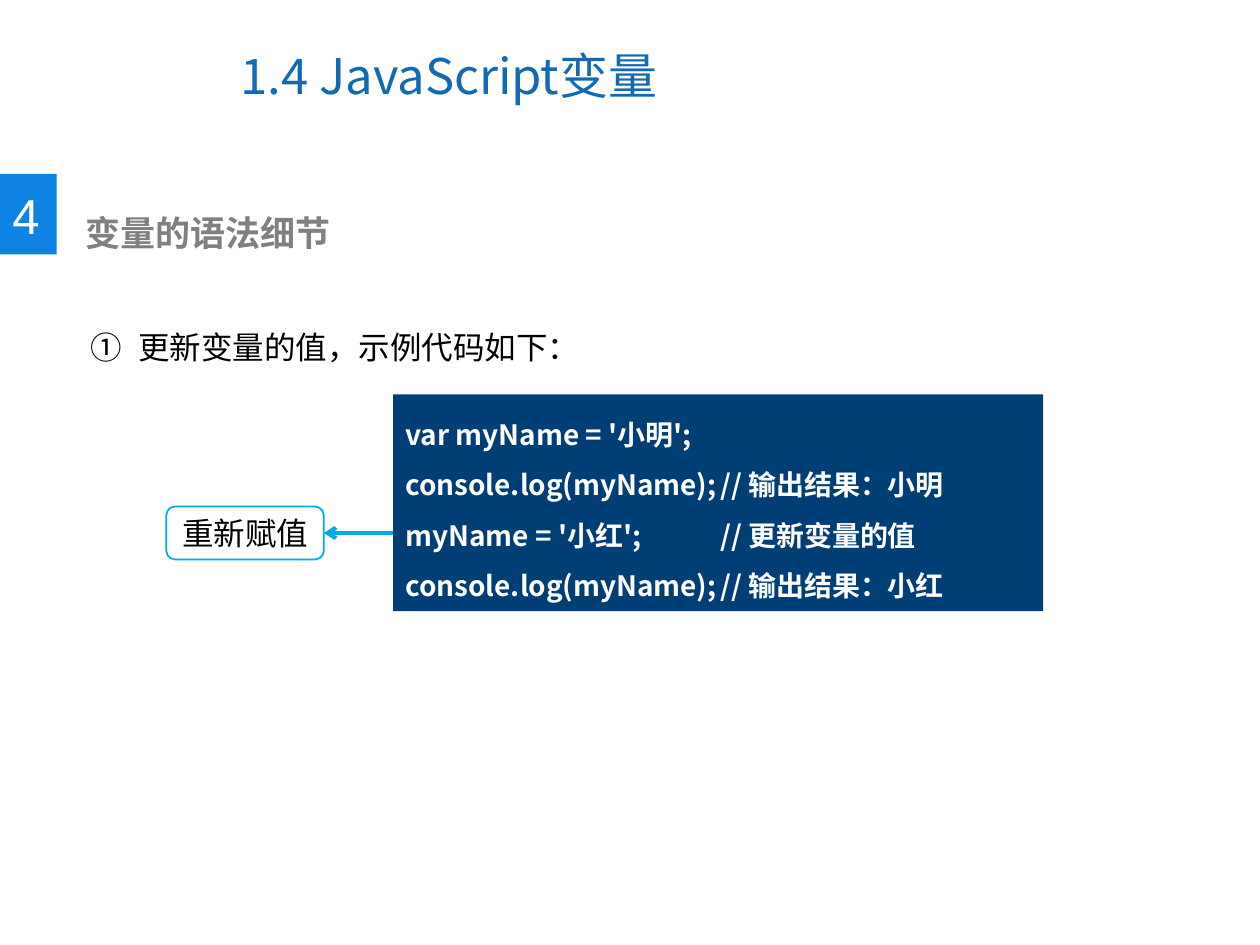
"""Build the slide on updating the value of a JavaScript variable."""
import lxml.etree
import pptx
import pptx.dml.color
import pptx.enum.shapes
import pptx.enum.text
import pptx.oxml.ns
import pptx.util

TITLE_BLUE = pptx.dml.color.RGBColor(0x13, 0x69, 0xB2)
BADGE_BLUE = pptx.dml.color.RGBColor(0x0F, 0x83, 0xE3)
CODE_BLUE = pptx.dml.color.RGBColor(0x00, 0x3F, 0x75)
CYAN = pptx.dml.color.RGBColor(0x00, 0xAC, 0xE6)
GRAY = pptx.dml.color.RGBColor(0x80, 0x80, 0x80)
WHITE = pptx.dml.color.RGBColor(0xFF, 0xFF, 0xFF)
BLACK = pptx.dml.color.RGBColor(0x00, 0x00, 0x00)
CHINESE_FONT = "Noto Sans CJK SC"
SHAPES = pptx.enum.shapes.MSO_SHAPE
ALIGN = pptx.enum.text.PP_ALIGN
ANCHOR = pptx.enum.text.MSO_ANCHOR

deck = pptx.Presentation()
deck.slide_width = pptx.util.Inches(10)
deck.slide_height = pptx.util.Inches(7.5)
COLUMN = deck.slide_width / 100
ROW = deck.slide_height / 75
page = deck.slides.add_slide(deck.slide_layouts[6])


def grid(left, top, width, height):
    return [round(left * COLUMN), round(top * ROW), round(width * COLUMN), round(height * ROW)]


def write(box, text, size=18, color=BLACK, font="Arial", bold=False, align=ALIGN.LEFT,
          anchor=ANCHOR.TOP, spacing=1.0, wrap=True):
    frame = box.text_frame
    frame.word_wrap = wrap
    frame.vertical_anchor = anchor
    for index, line in enumerate(text.split("\n")):
        para = frame.add_paragraph() if index else frame.paragraphs[0]
        para.alignment = align
        para.line_spacing = spacing
        span = para.add_run()
        span.text = line
        span.font.size = pptx.util.Pt(size)
        span.font.bold = bold
        span.font.name = font
        span.font.color.rgb = color
        east = lxml.etree.SubElement(span.font._element, pptx.oxml.ns.qn("a:ea"))
        east.set("typeface", CHINESE_FONT)


title = page.shapes.add_textbox(*grid(18.1, 1.7, 51.6, 8.5))
write(title, "1.4 JavaScript变量", size=28, color=TITLE_BLUE, font=CHINESE_FONT,
      anchor=ANCHOR.MIDDLE)

badge = page.shapes.add_group_shape()
square = badge.shapes.add_shape(SHAPES.RECTANGLE, *grid(0, 13.8, 4.5, 6.4))
number = badge.shapes.add_textbox(*grid(0, 14.2, 4.2, 5.7))
write(number, "4", size=28, color=WHITE, wrap=False)

heading = page.shapes.add_textbox(*grid(4.7, 16.3, 51.4, 4.4))
heading.text_frame.margin_left = round(2.1 * COLUMN)
write(heading, "变量的语法细节", size=20, color=GRAY, bold=True)

code = page.shapes.add_shape(SHAPES.RECTANGLE, *grid(31.2, 31.3, 51.6, 17.2))
write(code, "var myName = '小明';\n"
            "console.log(myName);\t// 输出结果：小明\n"
            "myName = '小红';\t\t// 更新变量的值\n"
            "console.log(myName);\t// 输出结果：小红",
      size=16, color=WHITE, font=CHINESE_FONT, bold=True, spacing=1.5)

label = page.shapes.add_shape(SHAPES.ROUNDED_RECTANGLE, *grid(13.2, 40.2, 12.5, 4.2))
write(label, "重新赋值", align=ALIGN.CENTER, anchor=ANCHOR.MIDDLE)

for shape, fill in ((square, BADGE_BLUE), (code, CODE_BLUE), (label, WHITE)):
    shape.shadow.inherit = False
    shape.fill.solid()
    shape.fill.fore_color.rgb = fill
    shape.line.fill.background()
label.line.color.rgb = CYAN
label.line.width = pptx.util.Pt(1)

middle = label.top + label.height // 2
arrow = page.shapes.add_connector(pptx.enum.shapes.MSO_CONNECTOR.STRAIGHT,
                                  code.left, middle, label.left + label.width, middle)
arrow.end_connect(label, 3)
arrow.line.color.rgb = CYAN
arrow.line.width = pptx.util.Pt(2.25)
head = lxml.etree.SubElement(arrow.line._get_or_add_ln(), pptx.oxml.ns.qn("a:tailEnd"))
head.set("type", "arrow")
lxml.etree.SubElement(arrow._element.spPr, pptx.oxml.ns.qn("a:effectLst"))

step = page.shapes.add_textbox(*grid(6.2, 22.5, 86.5, 7.1))
write(step, "更新变量的值，示例代码如下：", spacing=2.0)
settings = step.text_frame.paragraphs[0]._p.get_or_add_pPr()
settings.set("marL", str(round(3.8 * COLUMN)))
settings.set("indent", str(round(-3.8 * COLUMN)))
bullet = lxml.etree.SubElement(settings, pptx.oxml.ns.qn("a:buAutoNum"))
bullet.set("type", "circleNumDbPlain")

deck.save("out.pptx")
